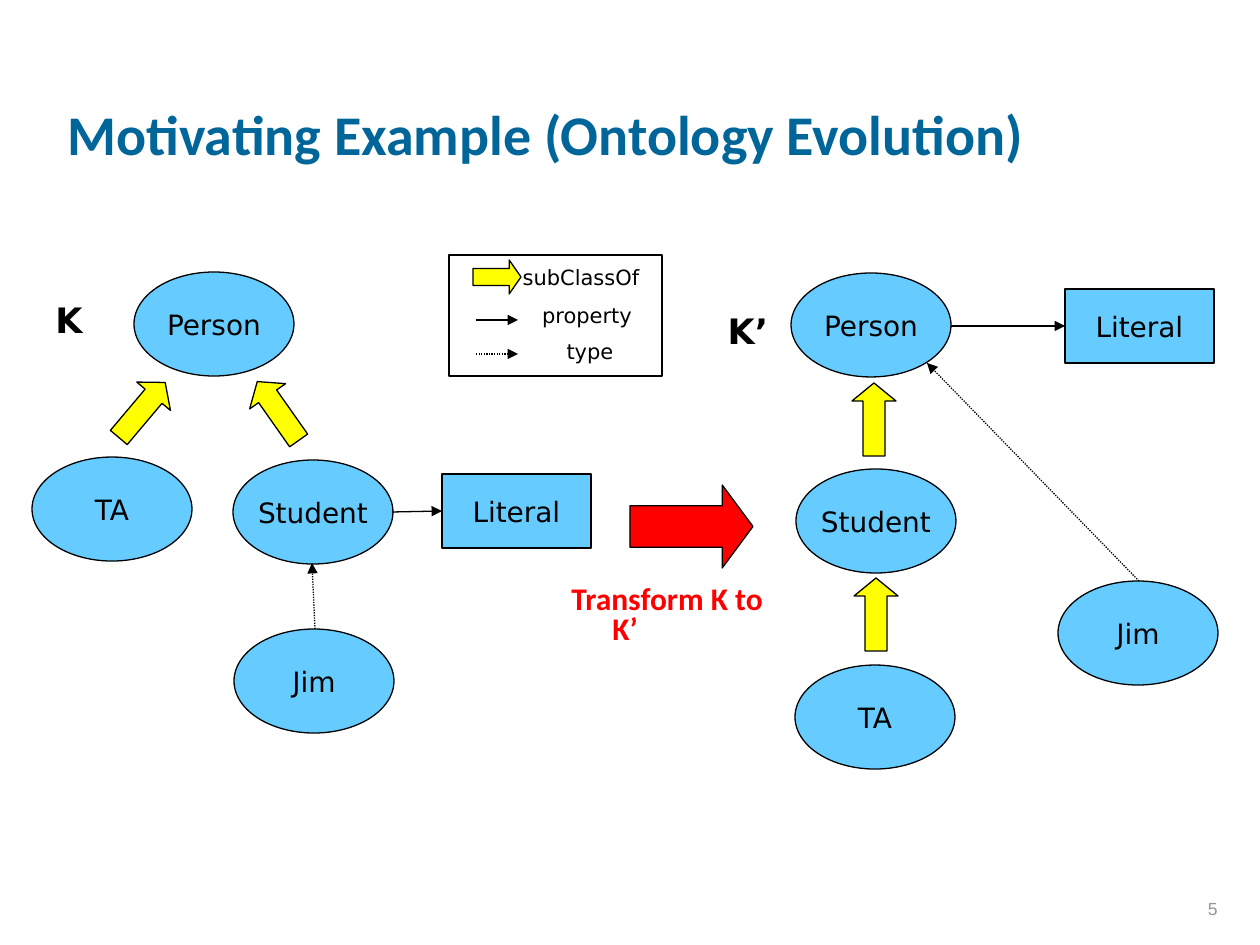
from lxml import etree
from pptx import Presentation
from pptx.dml.color import RGBColor
from pptx.enum.dml import MSO_LINE
from pptx.enum.shapes import MSO_CONNECTOR, MSO_SHAPE
from pptx.enum.text import MSO_ANCHOR, PP_ALIGN
from pptx.oxml.ns import qn
from pptx.util import Emu, Pt

OVAL, RECT = MSO_SHAPE.OVAL, MSO_SHAPE.RECTANGLE
UP, RIGHT = MSO_SHAPE.UP_ARROW, MSO_SHAPE.RIGHT_ARROW
STRAIGHT, DOTS = MSO_CONNECTOR.STRAIGHT, MSO_LINE.ROUND_DOT
TOP, MIDDLE, BOTTOM = MSO_ANCHOR.TOP, MSO_ANCHOR.MIDDLE, MSO_ANCHOR.BOTTOM
LEFT, CENTER, END = PP_ALIGN.LEFT, PP_ALIGN.CENTER, PP_ALIGN.RIGHT

BLACK = RGBColor(0x00, 0x00, 0x00)
BLUE = RGBColor(0x66, 0xCC, 0xFF)
YELLOW = RGBColor(0xFF, 0xFF, 0x00)
RED = RGBColor(0xFF, 0x00, 0x00)
TEAL = RGBColor(0x00, 0x66, 0x99)
GRAY = RGBColor(0x96, 0x96, 0x96)

# Text styles
TITLE = dict(name="Calibri", size=Pt(32), bold=True, color=TEAL)
NUMBER = dict(name="Arial", size=Pt(10), color=GRAY)
NODE = dict(name="DejaVu Sans", size=Pt(16), color=BLACK)
KEY = dict(NODE, size=Pt(12))
GRAPH = dict(NODE, size=Pt(20), bold=True)
NOTE = dict(name="Calibri", size=Pt(18), bold=True, color=RED)

# Lengths in px, 126 to the inch
SIZES = {OVAL: (160, 104), RECT: (149, 74)}
NODES = [  # kind, left, top, text
    (OVAL, 134, 272, "Person"), (OVAL, 32, 457, "TA"),
    (OVAL, 233, 460, "Student"), (OVAL, 234, 629, "Jim"),
    (RECT, 442, 474, "Literal"),
    (OVAL, 791, 273, "Person"), (OVAL, 795, 665, "TA"),
    (OVAL, 796, 469, "Student"), (OVAL, 1058, 581, "Jim"),
    (RECT, 1065, 289, "Literal"),
]
LEGEND = (449, 255, 213, 121)
ARROWS = [  # kind, box, turn, head length, fill
    (UP, (480, 253, 34, 48), 90, 0.35, YELLOW),
    (UP, (120, 374, 44, 72), 40.1, 0.41, YELLOW),
    (UP, (256, 375, 44, 72), 324.9, 0.41, YELLOW),
    (UP, (852, 383, 44, 73), 0, 0.41, YELLOW),
    (UP, (854, 578, 44, 73), 0, 0.41, YELLOW),
    (RIGHT, (630, 485, 123, 83), 0, 0.37, RED),
]
LINES = [  # ends, dotted, number of the rectangle node it reaches
    ((476, 320, 518, 320), False, None),
    ((476, 354, 518, 354), True, None),
    ((315, 629, 312, 563), True, None),
    ((392, 512, 442, 511), False, 4),
    ((1139, 581, 927, 363), True, None),
    ((951, 326, 1065, 326), False, 9),
]
LABELS = [  # text, box, style, align, anchor, wrap
    ("Motivating Example (Ontology Evolution)", (55, 15, 1071, 158),
     TITLE, LEFT, BOTTOM, True),
    ("5", (968, 862, 262, 63), NUMBER, END, BOTTOM, True),
    ("subClassOf", (501, 257, 160, 40), KEY, CENTER, MIDDLE, False),
    ("property", (507, 295, 160, 40), KEY, CENTER, MIDDLE, False),
    ("type", (510, 331, 160, 40), KEY, CENTER, MIDDLE, False),
    ("K", (19, 266, 100, 106), GRAPH, CENTER, MIDDLE, False),
    ("K’", (698, 277, 100, 106), GRAPH, CENTER, MIDDLE, False),
]
CAPTION = ("Transform K to K’", (552, 580, 253, 67), NOTE, LEFT, TOP, True)


def px(*vals):
    return [Emu(round(v * 914400 / 126)) for v in vals]


def write(shape, text, style, align=CENTER, anchor=MIDDLE, wrap=False):
    frame = shape.text_frame
    frame.word_wrap, frame.vertical_anchor = wrap, anchor
    para = frame.paragraphs[0]
    para.alignment = align
    run = para.add_run()
    run.text = text
    for key, val in style.items():
        if key == "color":
            run.font.color.rgb = val
        else:
            setattr(run.font, key, val)
    return para


def draw(slide, kind, box, fill=None):
    shape = slide.shapes.add_shape(kind, *px(*box))
    shape.shadow.inherit = False
    if fill is None:
        shape.fill.background()
    else:
        shape.fill.solid()
        shape.fill.fore_color.rgb = fill
    shape.line.color.rgb = BLACK
    shape.line.width = Pt(0.75)
    return shape


def link(slide, ends, dotted, goal):
    line = slide.shapes.add_connector(STRAIGHT, *px(*ends))
    if goal is not None:
        line.end_connect(goal, 1)
    line.line.color.rgb = BLACK
    line.line.width = Pt(0.75)
    if dotted:
        line.line.dash_style = DOTS
    props = line.element.spPr
    tail = etree.SubElement(props.find(qn("a:ln")), qn("a:tailEnd"))
    tail.set("type", "triangle")
    etree.SubElement(props, qn("a:effectLst"))


def label(slide, text, box, *look):
    return write(slide.shapes.add_textbox(*px(*box)), text, *look)


def main():
    deck = Presentation()
    deck.slide_width, deck.slide_height = px(1260, 945)
    slide = deck.slides.add_slide(deck.slide_layouts[6])

    # Legend frame and graph nodes
    draw(slide, RECT, LEGEND)
    nodes = []
    for kind, left, top, text in NODES:
        node = draw(slide, kind, (left, top, *SIZES[kind]), BLUE)
        write(node, text, NODE)
        nodes.append(node)

    # Block arrows
    for kind, box, turn, head, fill in ARROWS:
        arrow = draw(slide, kind, box, fill)
        arrow.rotation = turn
        arrow.adjustments[1] = head

    # Property and type lines
    for ends, dotted, goal in LINES:
        link(slide, ends, dotted, None if goal is None else nodes[goal])

    # Title, page number, legend and graph names
    for item in LABELS:
        label(slide, *item)

    # Caption with a hanging indent
    para = label(slide, *CAPTION)
    para.line_spacing = 0.8
    margin, indent = px(48, -41)
    props = para._p.get_or_add_pPr()
    props.set("marL", str(margin))
    props.set("indent", str(indent))

    deck.save("out.pptx")


if __name__ == "__main__":
    main()
